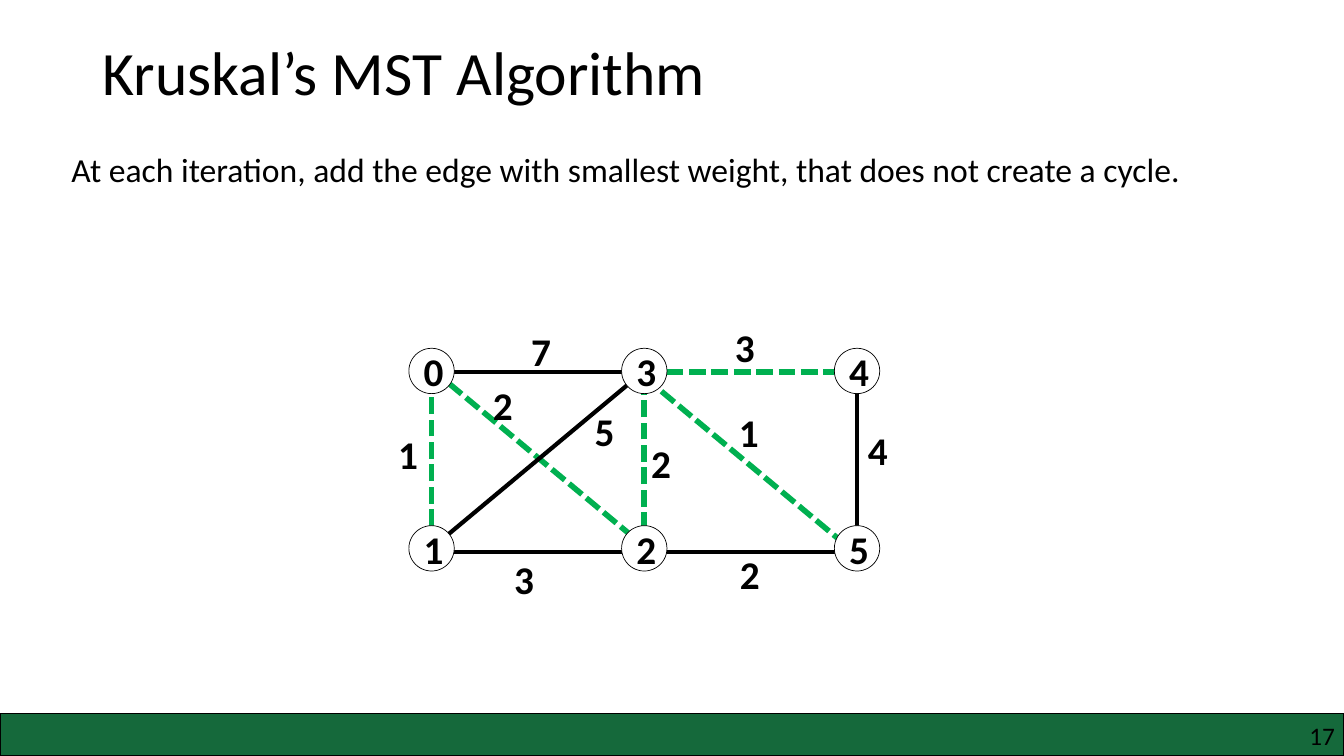
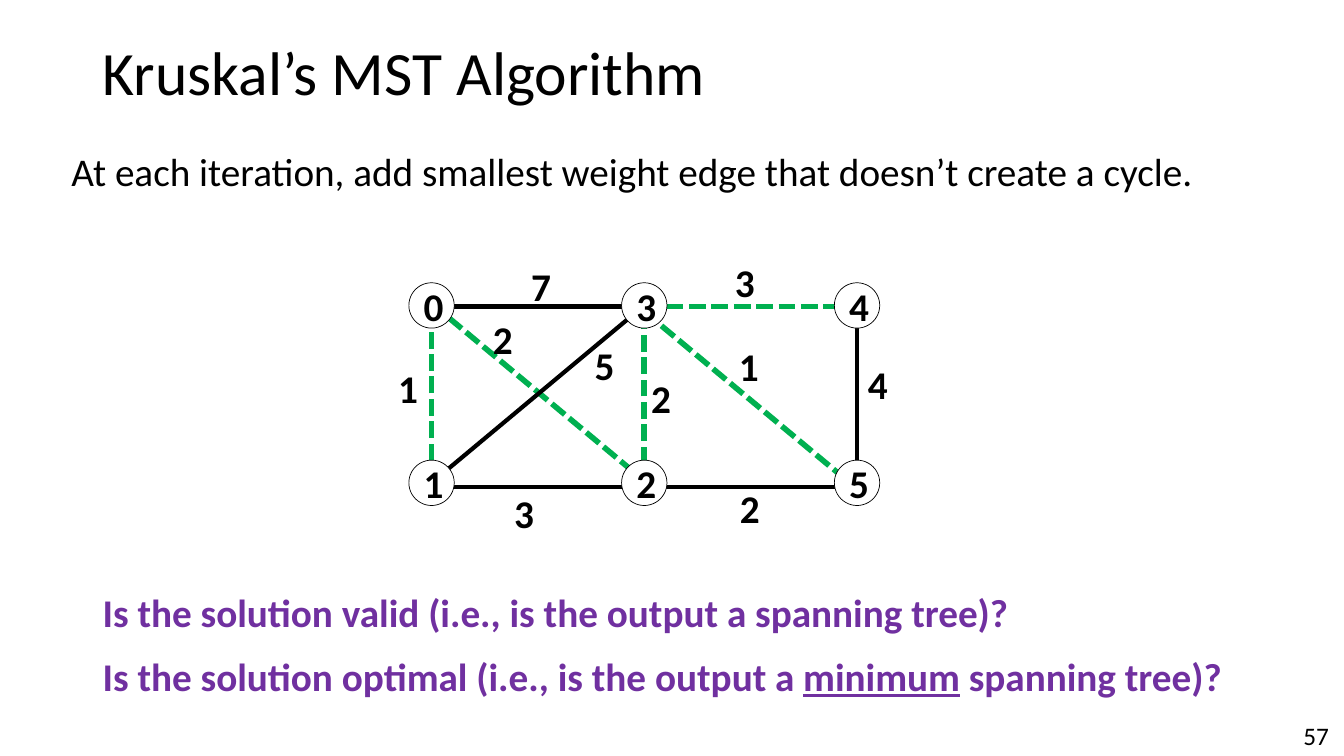
from pptx import Presentation
from pptx.dml.color import RGBColor
from pptx.enum.dml import MSO_LINE
from pptx.enum.shapes import MSO_CONNECTOR, MSO_SHAPE
from pptx.enum.text import MSO_ANCHOR, PP_ALIGN
from pptx.oxml.ns import qn
from pptx.util import Inches, Pt
from lxml import etree

BLACK = RGBColor(0x00, 0x00, 0x00)
WHITE = RGBColor(0xFF, 0xFF, 0xFF)
TREE_GREEN = RGBColor(0x00, 0xB0, 0x50)
BAND_GREEN = RGBColor(0x15, 0x69, 0x3B)
PURPLE = RGBColor(0x70, 0x30, 0xA0)
FONT = "Calibri"
WIDTH, HEIGHT = 13.33, 7.5

TITLE = "Kruskal’s MST Algorithm"
NODE_SIZE = 0.45
COLUMNS = [4.28 + 2.11 * i for i in range(3)]
ROW_GAP = 1.76

# Node: (column, row)
NODES = {"0": (0, 0), "1": (0, 1), "2": (1, 1),
         "3": (1, 0), "4": (2, 0), "5": (2, 1)}

# Edge: from, to, weight, in tree, line drop, label left, label top below first row
EDGES = [
    ("1", "0", "1", True, 0, 3.85, 0.54),
    ("5", "4", "4", False, 0, 8.51, 0.5),
    ("2", "3", "2", True, 0.03, 6.36, 0.63),
    ("0", "3", "7", False, 0.01, 5.17, -0.48),
    ("1", "2", "3", False, 0.04, 5, 1.78),
    ("3", "4", "3", True, 0.01, 7.19, -0.52),
    ("2", "5", "2", False, 0.04, 7.24, 1.73),
    ("0", "2", "2", True, -0.02, 4.79, 0.05),
    ("3", "5", "1", True, 0.06, 7.23, 0.32),
    ("3", "1", "5", False, 0, 5.8, 0.31),
]


def write(p, text, size=28, color=BLACK, bold=False, underline=None):
    """Add one formatted run to a paragraph."""
    r = p.add_run()
    r.text = text
    r.font.name, r.font.size = FONT, Pt(size)
    r.font.bold, r.font.underline = bold, underline
    r.font.color.rgb = color


class Deck:
    def __init__(self):
        self.prs = Presentation()
        self.prs.slide_width = Inches(WIDTH)
        self.prs.slide_height = Inches(HEIGHT)
        self.s = None

    def slide(self, statement, size):
        """Start a slide with the shared title and its statement."""
        self.s = self.prs.slides.add_slide(self.prs.slide_layouts[6])
        self.text(TITLE, 0.92, 0.02, 11.5, 1.45, size=44,
                  anchor=MSO_ANCHOR.MIDDLE, spacing=0.9)
        self.text(statement, 0.61, 1.47, 12.11, 0.7, size=size, spacing=0.9)

    def text(self, text, x, y, w, h, anchor=MSO_ANCHOR.TOP, spacing=None,
             align=PP_ALIGN.LEFT, inset=True, **style):
        """Add a text box and return its text frame."""
        tf = self.s.shapes.add_textbox(
            Inches(x), Inches(y), Inches(w), Inches(h)).text_frame
        tf.word_wrap = True
        tf.vertical_anchor = anchor
        if not inset:
            tf.margin_left = tf.margin_right = tf.margin_top = tf.margin_bottom = 0
        p = tf.paragraphs[0]
        p.alignment, p.line_spacing = align, spacing
        write(p, text, **style)
        return tf

    def shape(self, kind, x, y, w, h, fill, weight):
        sp = self.s.shapes.add_shape(
            kind, Inches(x), Inches(y), Inches(w), Inches(h))
        sp.shadow.inherit = False
        sp.fill.solid()
        sp.fill.fore_color.rgb = fill
        sp.line.color.rgb = BLACK
        sp.line.width = Pt(weight)
        return sp

    def line(self, start, end, in_tree):
        c = self.s.shapes.add_connector(
            MSO_CONNECTOR.STRAIGHT, *(Inches(v) for v in (*start, *end)))
        c.line.color.rgb = TREE_GREEN if in_tree else BLACK
        c.line.width = Pt(4 if in_tree else 3)
        if in_tree:
            c.line.dash_style = MSO_LINE.SQUARE_DOT
        etree.SubElement(c.element.spPr, qn("a:effectLst"))

    def node(self, name, x, y):
        """Add a numbered circle centred on x, y."""
        sp = self.shape(MSO_SHAPE.OVAL, x - NODE_SIZE / 2, y - NODE_SIZE / 2,
                        NODE_SIZE, NODE_SIZE, WHITE, 0.5)
        tf = sp.text_frame
        tf.word_wrap = False
        tf.vertical_anchor = MSO_ANCHOR.MIDDLE
        tf.margin_right = tf.margin_top = tf.margin_bottom = 0
        tf.margin_left = Inches(0.04)
        tf.paragraphs[0].alignment = PP_ALIGN.CENTER
        write(tf.paragraphs[0], name, bold=True)

    def graph(self, top):
        """Draw the weighted graph with its first row of nodes centred on top."""
        centers = {name: (COLUMNS[col], top + ROW_GAP * row)
                   for name, (col, row) in NODES.items()}
        for a, b, _, in_tree, drop, _, _ in EDGES:
            start, end = ((x, y + drop) for x, y in (centers[a], centers[b]))
            self.line(start, end, in_tree)
        for name, center in centers.items():
            self.node(name, *center)
        for _, _, weight, _, _, x, dy in EDGES:
            self.text(weight, x, top + dy, 0.61, 0.57, bold=True)

    def band(self):
        self.shape(MSO_SHAPE.RECTANGLE, 0, 7.08, WIDTH, 0.42, BAND_GREEN, 1)

    def page_number(self, number, right):
        self.text(number, right - 0.73, 7.15, 0.73, 0.3, size=18,
                  align=PP_ALIGN.RIGHT, inset=False)


def main():
    deck = Deck()

    deck.slide("At each iteration, add the edge with smallest weight, "
               "that does not create a cycle.", 24)
    deck.graph(3.68)
    deck.band()
    deck.page_number("17", 13.24)

    deck.slide("At each iteration, add smallest weight edge "
               "that doesn’t create a cycle.", 28)
    deck.graph(3.03)
    question = dict(color=PURPLE, bold=True)
    tf = deck.text("Is the solution valid (i.e., is the output a spanning tree)?",
                   0.92, 5.79, 11.8, 1.21, **question)
    p = tf.add_paragraph()
    p.space_before = Pt(12)
    write(p, "Is the solution optimal (i.e., is the output a ", **question)
    write(p, "minimum", underline=True, **question)
    write(p, " spanning tree)?", **question)
    deck.page_number("57", 13.18)

    deck.prs.save("out.pptx")


if __name__ == "__main__":
    main()
